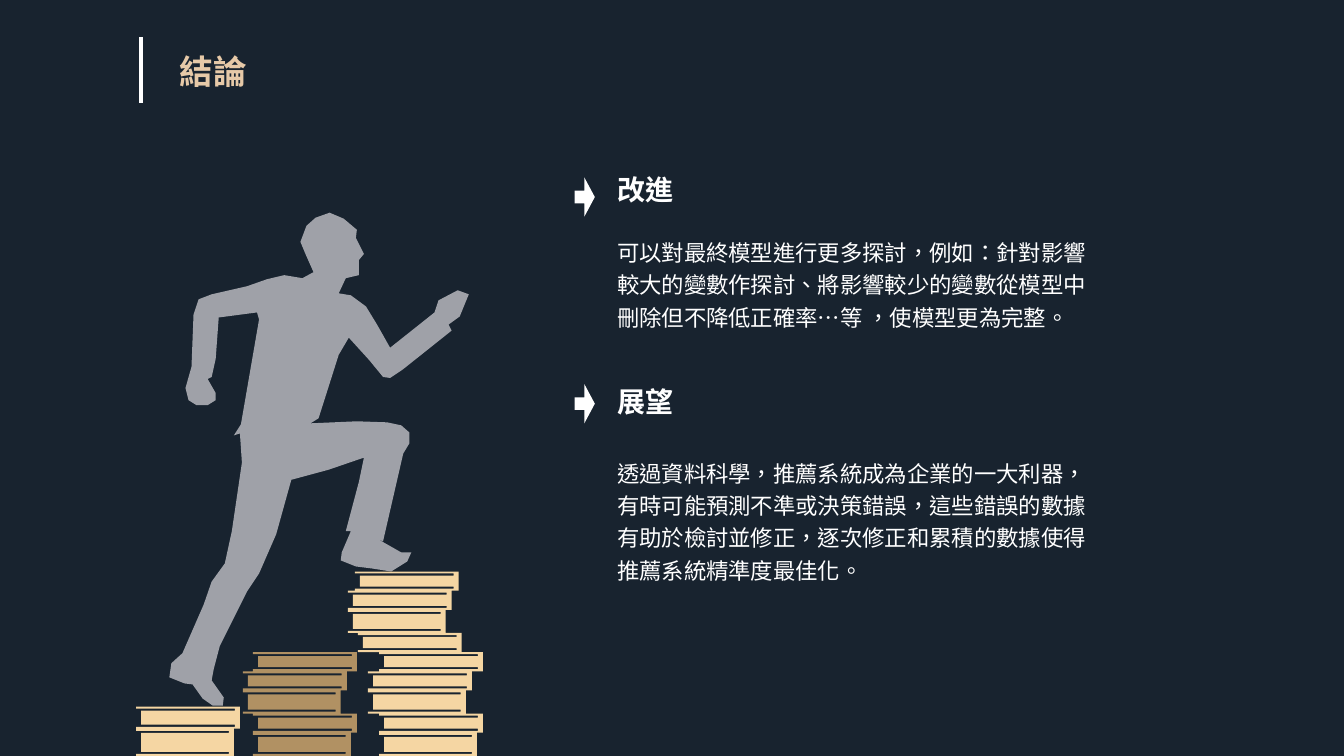
from lxml import etree
from pptx import Presentation
from pptx.dml.color import RGBColor
from pptx.enum.lang import MSO_LANGUAGE_ID
from pptx.enum.shapes import MSO_CONNECTOR, MSO_SHAPE
from pptx.enum.text import MSO_ANCHOR, MSO_AUTO_SIZE, PP_ALIGN
from pptx.oxml.ns import qn
from pptx.util import Inches, Pt

# Content
TITLE = "結論"
SECTIONS = [
    # heading, heading top and height, body, body top and height, arrow top
    ("改進", (1.67, 0.34),
     "可以對最終模型進行更多探討，例如：針對影響較大的變數作探討、"
     "將影響較少的變數從模型中刪除但不降低正確率…等 ，使模型更為完整。",
     (2.34, 0.92), 1.76),
    ("展望", (3.64, 0.61),
     "透過資料科學，推薦系統成為企業的一大利器，有時可能預測不準或決策錯誤，"
     "這些錯誤的數據有助於檢討並修正，逐次修正和累積的數據使得推薦系統精準度最佳化。",
     (4.62, 1.06), 3.81),
]
COLORS = {
    "background": "18232F", "title": "E6C9A8", "text": "FFFFFF",
    "runner": "9FA1A8", "light book": "F5D6A3", "dark book": "B19163",
}
FONT = "Calibri"
SLIDE_WIDTH, SLIDE_HEIGHT = 13.33, 7.5
TEXT_LEFT, HEADING_WIDTH, BODY_WIDTH = 6.07, 2.05, 4.79
ARROW_LEFT, ARROW_WIDTH, ARROW_HEIGHT = 5.7, 0.2, 0.39

# Book stacks from the bottom up: colour, thin and thick heights, left edges.
# Thick and thin books alternate, except that the listed positions are thick.
BOOK_WIDTHS = {"thin": 1.03, "thick": 0.97}
COVER, SPINE = 0.02, 0.05
STACKS = [
    ("light book", {"thin": 0.19, "thick": 0.23}, (0, 2, 6),
     (3.76, 3.76, 3.65, 3.65, 3.76, 3.55, 3.45, 3.45, 3.52)),
    ("dark book", {"thin": 0.19, "thick": 0.23}, (0, 2),
     (2.51, 2.51, 2.41, 2.41, 2.51)),
    ("light book", {"thin": 0.22, "thick": 0.27}, (0,), (1.35, 1.35)),
]

# Runner outline, part by part
RUNNER = {
    "front forearm": [(4.65, 2.92), (4.54, 2.88), (4.35, 2.98), (4.31, 3.1), (3.87, 3.45)],
    "front shoulder": [(3.74, 3.22), (3.63, 3.04), (3.48, 2.93), (3.36, 2.91)],
    "face": [(3.43, 2.76), (3.56, 2.73), (3.56, 2.58), (3.61, 2.52), (3.53, 2.36),
             (3.54, 2.28)],
    "head": [(3.41, 2.17), (3.27, 2.11), (3.13, 2.16), (3.04, 2.24), (2.98, 2.4),
             (3.03, 2.52), (3.11, 2.7), (3, 2.76)],
    "back arm": [(2.82, 2.73), (2.65, 2.77), (2.45, 2.84), (2.1, 2.92), (1.97, 2.97),
                 (1.92, 3.12), (1.9, 3.64)],
    "back hand": [(1.84, 3.85), (1.87, 3.97), (1.95, 4.02), (2.06, 4.02), (2.14, 3.97),
                  (2.14, 3.9), (2.06, 3.76)],
    "inner arm": [(2.1, 3.74), (2.14, 3.56), (2.17, 3.15), (2.55, 3.1)],
    "back": [(2.57, 3.17), (2.39, 4.21), (2.32, 4.32), (2.38, 4.3), (2.4, 4.59)],
    "rear leg": [(2.3, 5.27), (2.23, 5.59), (2.1, 5.77), (2.02, 6), (1.81, 6.48)],
    "rear shoe": [(1.7, 6.58), (1.68, 6.72), (1.83, 6.78), (1.91, 6.79), (2.01, 6.93),
                  (2.11, 7), (2.21, 7), (2.22, 6.92), (2.1, 6.75), (2.12, 6.64)],
    "rear calf": [(2.18, 6.41), (2.45, 5.87), (2.57, 5.69), (2.74, 5.3), (2.89, 4.76)],
    "front thigh": [(3.26, 4.66), (3.61, 4.54), (3.56, 4.78), (3.43, 5.27), (3.48, 5.27)],
    "front shoe": [(3.39, 5.48), (3.38, 5.56), (3.53, 5.62), (3.69, 5.64), (3.88, 5.67),
                   (4.04, 5.57), (4.08, 5.48), (3.98, 5.48), (3.75, 5.35), (3.8, 5.37)],
    "front knee": [(4, 4.5), (4.06, 4.4), (4.06, 4.29), (3.98, 4.22), (3.84, 4.19),
                   (3.54, 4.18), (3.08, 4.2)],
    "chest": [(3.16, 4.15), (3.23, 3.93), (3.36, 3.52), (3.46, 3.35)],
    "front elbow": [(3.66, 3.57), (3.8, 3.74), (3.87, 3.75), (3.99, 3.67), (4.48, 3.28),
                    (4.45, 3.22), (4.56, 3.14)],
}


def color(name):
    return RGBColor.from_string(COLORS[name])


def book_outline(left, top, width, height):
    """Two covers and a page block, joined by the spine on the right."""
    right, bottom = left + width, top + height
    page_left, page_right = left + SPINE, right - SPINE
    return [(left, top), (left, top + COVER), (page_right, top + COVER),
            (page_right, top + 2 * COVER), (page_left, top + 2 * COVER),
            (page_left, bottom - 2 * COVER), (page_right, bottom - 2 * COVER),
            (page_right, bottom - COVER), (left, bottom - COVER),
            (left, bottom), (right, bottom), (right, top)]


def paint(shape, color_name):
    shape.shadow.inherit = False
    shape.fill.solid()
    shape.fill.fore_color.rgb = color(color_name)
    shape.line.fill.background()


def add_outline(contours, color_name):
    emu = [[(Inches(x), Inches(y)) for x, y in contour] for contour in contours]
    builder = slide.shapes.build_freeform(*emu[0][0], scale=1.0)
    for number, contour in enumerate(emu):
        if number:
            builder.move_to(*contour[0])
        builder.add_line_segments(contour[1:], close=True)
    paint(builder.convert_to_shape(), color_name)


def place(shape, left, top, width, height):
    shape.left, shape.top = Inches(left), Inches(top)
    shape.width, shape.height = Inches(width), Inches(height)


def write(shape, text, size, color_name, bold, anchor, spacing, margins):
    frame = shape.text_frame
    frame.word_wrap = True
    frame.auto_size = MSO_AUTO_SIZE.NONE
    frame.vertical_anchor = anchor
    frame.margin_left = frame.margin_right = Inches(margins[0])
    frame.margin_top = frame.margin_bottom = Inches(margins[1])
    paragraph = frame.paragraphs[0]
    paragraph.alignment = PP_ALIGN.LEFT
    paragraph.line_spacing = spacing
    run = paragraph.add_run()
    run.text = text
    run.font.name, run.font.size, run.font.bold = FONT, Pt(size), bold
    run.font.color.rgb = color(color_name)
    run.font.language_id = MSO_LANGUAGE_ID.TRADITIONAL_CHINESE


def add_text(text, top, width, height, size, bold):
    box = slide.shapes.add_textbox(0, 0, 0, 0)
    place(box, TEXT_LEFT, top, width, height)
    write(box, text, size, "text", bold, MSO_ANCHOR.MIDDLE, 1.2, (0.05, 0.05))


# Slide and background
presentation = Presentation()
presentation.slide_width, presentation.slide_height = Inches(SLIDE_WIDTH), Inches(SLIDE_HEIGHT)
slide = presentation.slides.add_slide(presentation.slide_layouts[5])
slide.background.fill.solid()
slide.background.fill.fore_color.rgb = color("background")

# Title with its bar
title = slide.shapes.title
place(title, 1.68, 0.45, 1.1, 0.5)
write(title, TITLE, 24, "title", True, MSO_ANCHOR.TOP, 1.0, (0.1, 0.05))
bar = slide.shapes.add_connector(MSO_CONNECTOR.STRAIGHT, Inches(1.4), Inches(0.37),
                                 Inches(1.4), Inches(1.02))
bar.line.color.rgb = color("text")
bar.line.width = Pt(3)
etree.SubElement(bar._element.spPr, qn("a:effectLst"))

# Runner climbing the book stacks
add_outline([[point for part in RUNNER.values() for point in part]], "runner")
for color_name, heights, thick_positions, lefts in STACKS:
    contours, top = [], SLIDE_HEIGHT
    for position, left in enumerate(lefts):
        kind = "thick" if position in thick_positions else "thin"
        top -= heights[kind]
        contours.append(book_outline(left, top, BOOK_WIDTHS[kind], heights[kind]))
    add_outline(contours, color_name)

# Sections
for heading, (heading_top, heading_height), body, (body_top, body_height), arrow_top in SECTIONS:
    add_text(heading, heading_top, HEADING_WIDTH, heading_height, 20, True)
    add_text(body, body_top, BODY_WIDTH, body_height, 16, False)
    arrow = slide.shapes.add_shape(MSO_SHAPE.RIGHT_ARROW, 0, 0, 0, 0)
    place(arrow, ARROW_LEFT, arrow_top, ARROW_WIDTH, ARROW_HEIGHT)
    arrow.adjustments[0], arrow.adjustments[1] = 0.32, 0.52
    paint(arrow, "text")

presentation.save("out.pptx")
